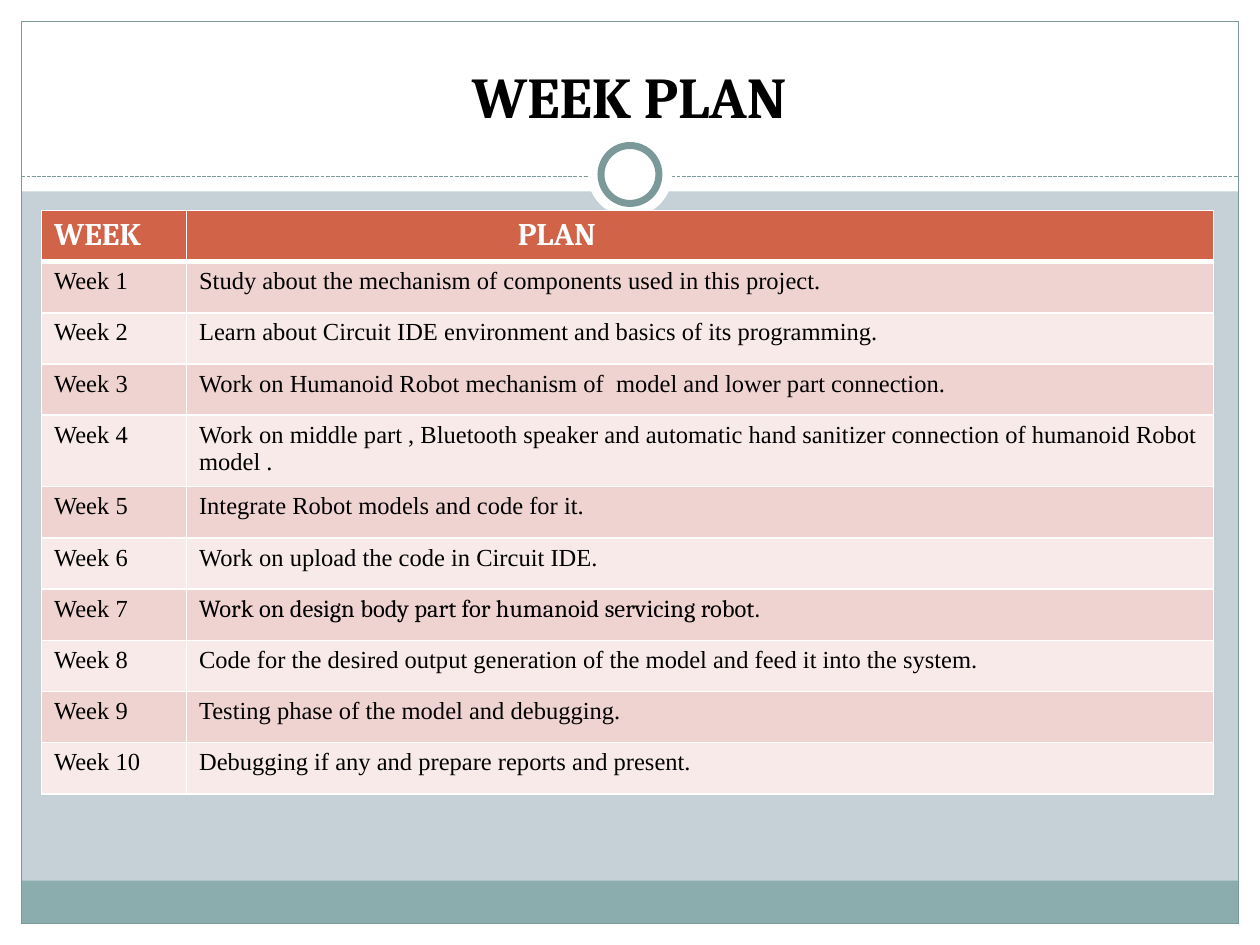
"""Build the week plan slide with its ring-and-bars frame and schedule table."""
from dataclasses import dataclass

from lxml.etree import SubElement
from pptx import Presentation
from pptx.dml.color import RGBColor
from pptx.enum.dml import MSO_LINE
from pptx.enum.shapes import MSO_CONNECTOR, MSO_SHAPE
from pptx.enum.text import MSO_ANCHOR, PP_ALIGN
from pptx.oxml.ns import qn
from pptx.util import Inches, Pt

TITLE = "WEEK PLAN"
HEADINGS = ("WEEK", "PLAN")
PLANS = [
    "Study about the mechanism of components used in this project.",
    "Learn about Circuit IDE environment and basics of its programming.",
    "Work on Humanoid Robot mechanism of  model and lower part connection.",
    "Work on middle part , Bluetooth speaker and automatic hand sanitizer "
    "connection of humanoid Robot model .",
    "Integrate Robot models and code for it.",
    "Work on upload the code in Circuit IDE.",
    "Work on design body part for humanoid servicing robot.",
    "Code for the desired output generation of the model and feed it into the system.",
    "Testing phase of the model and debugging.",
    "Debugging if any and prepare reports and present.",
]
CAMBRIA_WEEK = 7


@dataclass(frozen=True)
class Theme:
    """Colours, fonts and type sizes."""
    background: str = "C5D1D7"
    white: str = "FFFFFF"
    black: str = "000000"
    frame: str = "7C999A"
    footer: str = "8CADAE"
    header: str = "D16349"
    bands: tuple = ("EED3D0", "F7EAE9")
    heading_font: str = "Cambria"
    body_font: str = "Times New Roman"
    title_size: int = 33
    heading_size: int = 18
    body_size: int = 14


THEME = Theme()
WIDTH, HEIGHT, MARGIN = 10, 7.5, 0.17
TABLE_BOX = (0.33, 1.67, 9.3, 4.47)
COLUMNS = (1.15, 8.15)
PLAN_INDENT = 2.63
RULE_Y = 1.4
MEDALLION_Y = 1.385


def rgb(colour):
    return RGBColor.from_string(colour)


def add_block(box, fill=None, line=None, weight=0.75, kind=MSO_SHAPE.RECTANGLE):
    block = slide.shapes.add_shape(kind, *map(Inches, box))
    block.shadow.inherit = False
    if fill:
        block.fill.solid()
        block.fill.fore_color.rgb = rgb(fill)
    else:
        block.fill.background()
    if line:
        block.line.color.rgb = rgb(line)
        block.line.width = Pt(weight)
    else:
        block.line.fill.background()


def add_disc(size, **style):
    box = ((WIDTH - size) / 2, MEDALLION_Y - size / 2, size, size)
    add_block(box, THEME.white, kind=MSO_SHAPE.OVAL, **style)


def write(frame, text, size, font, colour, bold=False):
    frame.text = text
    style = frame.paragraphs[0].runs[0].font
    style.size, style.name, style.bold = Pt(size), font, bold
    style.color.rgb = rgb(colour)


def border(cell, bottom):
    properties = cell._tc.get_or_add_tcPr()
    for place, (side, weight) in enumerate(
            (("L", 1), ("R", 1), ("T", 1), ("B", bottom))):
        edge = SubElement(properties, qn(f"a:ln{side}"), w=str(Pt(weight)))
        paint = SubElement(edge, qn("a:solidFill"))
        SubElement(paint, qn("a:srgbClr"), val=THEME.white)
        properties.insert(place, edge)


deck = Presentation()
deck.slide_width, deck.slide_height = Inches(WIDTH), Inches(HEIGHT)
slide = deck.slides.add_slide(deck.slide_layouts[6])
slide.background.fill.solid()
slide.background.fill.fore_color.rgb = rgb(THEME.background)

inner_width, inner_height = WIDTH - 2 * MARGIN, HEIGHT - 2 * MARGIN
for edge_box in (
    (0, HEIGHT - MARGIN, WIDTH, MARGIN),
    (0, 0, WIDTH, 1.52),
    (0, 0, MARGIN, HEIGHT),
    (WIDTH - MARGIN, 0, MARGIN, HEIGHT),
):
    add_block(edge_box, THEME.white)
add_block((MARGIN, 6.99, inner_width, 0.34), THEME.footer)
add_block((MARGIN, MARGIN, inner_width, inner_height), line=THEME.frame)

rule = slide.shapes.add_connector(
    MSO_CONNECTOR.STRAIGHT,
    *map(Inches, (MARGIN, RULE_Y, WIDTH - MARGIN, RULE_Y)))
rule.line.color.rgb = rgb(THEME.frame)
rule.line.width = Pt(0.75)
rule.line.dash_style = MSO_LINE.SQUARE_DOT
SubElement(rule._element.spPr, qn("a:effectLst"))

add_disc(0.67)
add_disc(0.46, line=THEME.frame, weight=4)

title = slide.shapes.add_textbox(*map(Inches, (0.33, 0.25, 9.33, 0.83))).text_frame
title.word_wrap = True
title.vertical_anchor = MSO_ANCHOR.BOTTOM
write(title, TITLE, THEME.title_size, THEME.heading_font, THEME.black, True)
title.paragraphs[0].alignment = PP_ALIGN.CENTER

rows = [HEADINGS] + [(f"Week {week}", plan) for week, plan in enumerate(PLANS, 1)]
schedule = slide.shapes.add_table(
    len(rows), len(COLUMNS), *map(Inches, TABLE_BOX)).table
for column, width in zip(schedule.columns, COLUMNS):
    column.width = Inches(width)
for week, texts in enumerate(rows):
    for column, text in enumerate(texts):
        cell = schedule.cell(week, column)
        heading = week == 0
        cell.fill.solid()
        cell.fill.fore_color.rgb = rgb(
            THEME.header if heading else THEME.bands[(week - 1) % 2])
        border(cell, 3 if heading else 1)
        if heading:
            write(cell.text_frame, text, THEME.heading_size,
                  THEME.heading_font, THEME.white, True)
        else:
            cambria = week == CAMBRIA_WEEK and column == 1
            write(cell.text_frame, text, THEME.body_size,
                  THEME.heading_font if cambria else THEME.body_font, THEME.black)
schedule.cell(0, 1).margin_left = Inches(PLAN_INDENT)

deck.save("out.pptx")
